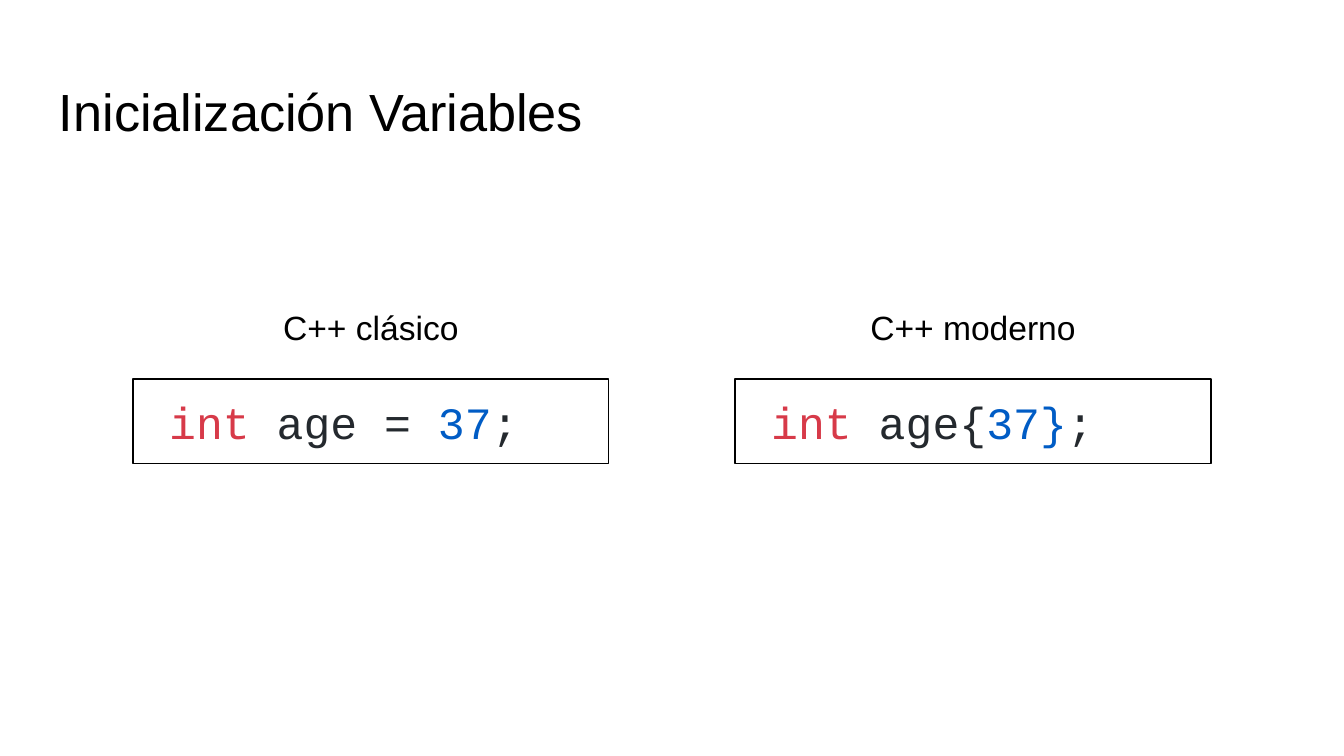
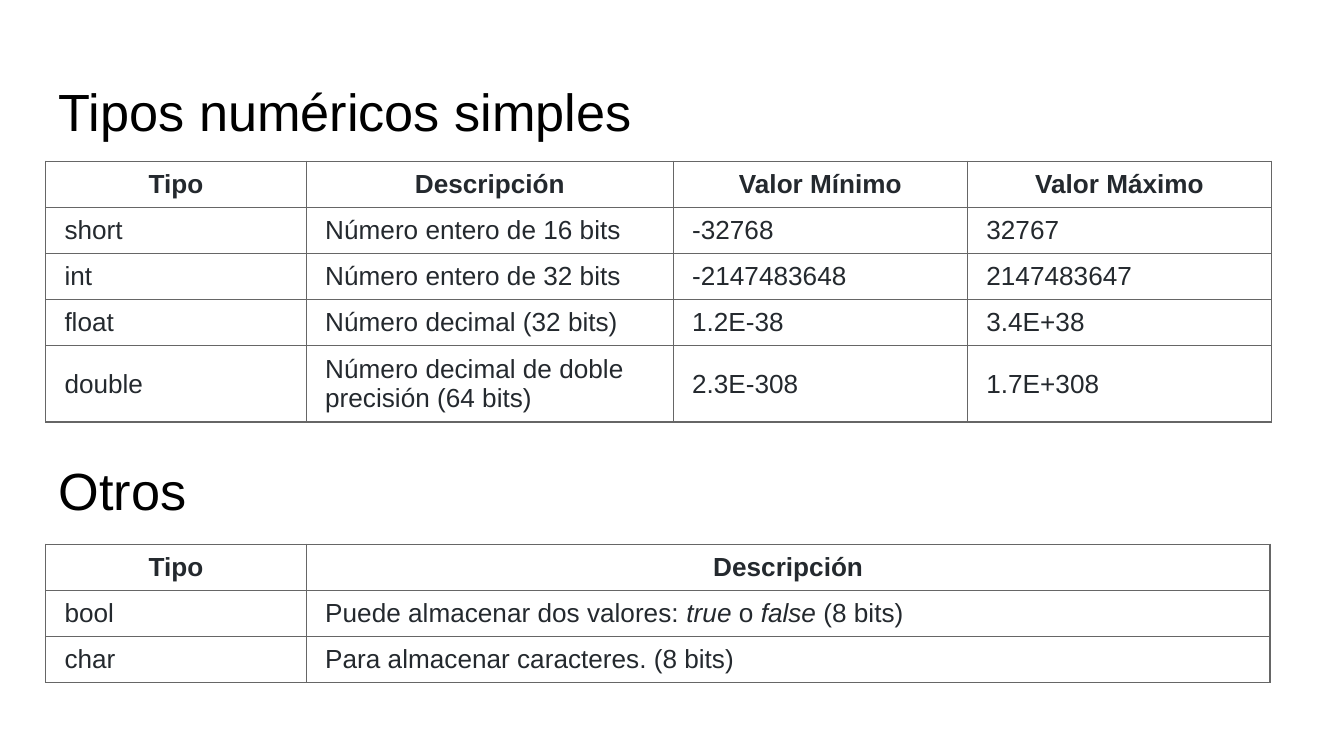
from lxml import etree
from pptx import Presentation
from pptx.dml.color import RGBColor
from pptx.enum.shapes import MSO_SHAPE
from pptx.enum.text import MSO_ANCHOR, PP_ALIGN
from pptx.oxml.ns import qn
from pptx.util import Inches, Pt

RECT = MSO_SHAPE.RECTANGLE
MIDDLE = MSO_ANCHOR.MIDDLE
LEFT, CENTER = PP_ALIGN.LEFT, PP_ALIGN.CENTER

COLORS = {
    "black": "000000",
    "code": "24292E",
    "keyword": "D73A49",
    "number": "005CC5",
    "border": "666666",
}
SANS, MONO = "Arial", "Courier New"
SLIDE_WIDTH = 10
SLIDE_HEIGHT = SLIDE_WIDTH * 9 / 16
MARGIN = 0.34
CODE_WIDTH = 3.54
ROW = 1.03 / 3
TALL_ROW = 0.56


def rgb(name):
    return RGBColor.from_string(COLORS[name])


def style(p, size, color, name=SANS, align=LEFT, bold=False):
    p.alignment = align
    p.font.size = Pt(size)
    p.font.name = name
    p.font.bold = bold
    p.font.color.rgb = rgb(color)


def set_insets(tf, inset=0.1):
    tf.word_wrap = True
    tf.margin_left = tf.margin_right = Inches(inset)
    tf.margin_top = tf.margin_bottom = Inches(inset)


def add_text(s, text, x, y, w, h, size, align=LEFT):
    tf = s.shapes.add_textbox(Inches(x), Inches(y), Inches(w), Inches(h)).text_frame
    set_insets(tf)
    p = tf.paragraphs[0]
    p.text = text
    style(p, size, "black", align=align)


def add_title(s, text, y=0.49):
    add_text(s, text, MARGIN, y, 9.32, 0.63, 28)


def add_code_box(s, tokens, x, y):
    """Outlined box with one line of code, given as (text, colour) pairs."""
    sp = s.shapes.add_shape(RECT, Inches(x), Inches(y), Inches(CODE_WIDTH), Inches(0.63))
    sp.shadow.inherit = False
    sp.fill.background()
    sp.line.color.rgb = rgb("black")
    sp.line.width = Pt(0.75)
    tf = sp.text_frame
    set_insets(tf)
    tf.vertical_anchor = MIDDLE
    p = tf.paragraphs[0]
    p._p.get_or_add_pPr().set("marL", str(Inches(0.17)))
    style(p, 24, "code", MONO)
    for text, color in tokens:
        r = p.add_run()
        r.text = text
        r.font.color.rgb = rgb(color)


def set_borders(cell):
    tcPr = cell._tc.get_or_add_tcPr()
    for side in ("a:lnL", "a:lnR", "a:lnT", "a:lnB"):
        ln = etree.SubElement(tcPr, qn(side), w=str(Pt(0.75)))
        fill = etree.SubElement(ln, qn("a:solidFill"))
        etree.SubElement(fill, qn("a:srgbClr"), val=COLORS["border"])


def fill_cell(cell, content, header):
    """Write a string, or a list of (text, italic) pairs, into a cell."""
    set_borders(cell)
    cell.fill.background()
    cell.vertical_anchor = MIDDLE
    cell.margin_left = cell.margin_right = Inches(0.14)
    cell.margin_top = cell.margin_bottom = Inches(0.05)
    p = cell.text_frame.paragraphs[0]
    style(p, 14, "code", align=CENTER if header else LEFT, bold=header)
    runs = [(content, False)] if isinstance(content, str) else content
    for text, italic in runs:
        r = p.add_run()
        r.text = text
        if italic:
            r.font.italic = True


def add_table(s, rows, y, widths, heights):
    table = s.shapes.add_table(
        len(rows), len(widths), Inches(MARGIN), Inches(y),
        Inches(sum(widths)), Inches(sum(heights))).table
    table.first_row = table.horz_banding = False
    for column, width in zip(table.columns, widths):
        column.width = Inches(width)
    for row, height in zip(table.rows, heights):
        row.height = Inches(height)
    for i, row in enumerate(rows):
        for j, content in enumerate(row):
            fill_cell(table.cell(i, j), content, header=i == 0)


def build_initialization(prs):
    s = prs.slides.add_slide(prs.slide_layouts[6])
    add_title(s, "Inicialización Variables")
    examples = [
        (0.99, "C++ clásico", [("int", "keyword"), (" age = ", "code"),
                               ("37", "number"), (";", "code")]),
        (5.47, "C++ moderno", [("int", "keyword"), (" age{", "code"),
                               ("37}", "number"), (";", "code")]),
    ]
    for x, label, tokens in examples:
        add_code_box(s, tokens, x, 2.82)
        add_text(s, label, x, 2.18, CODE_WIDTH, 0.48, 18, CENTER)


def build_types(prs):
    s = prs.slides.add_slide(prs.slide_layouts[6])

    # Numeric types
    add_title(s, "Tipos numéricos simples")
    numeric = [
        ("Tipo", "Descripción", "Valor Mínimo", "Valor Máximo"),
        ("short", "Número entero de 16 bits", "-32768", "32767"),
        ("int", "Número entero de 32 bits", "-2147483648", "2147483647"),
        ("float", "Número decimal (32 bits)", "1.2E-38", "3.4E+38"),
        ("double", "Número decimal de doble precisión (64 bits)",
         "2.3E-308", "1.7E+308"),
    ]
    add_table(s, numeric, 1.2, [1.94, 2.73, 2.19, 2.26], [ROW] * 4 + [TALL_ROW])

    # Other types
    add_title(s, "Otros", 3.31)
    others = [
        ("Tipo", "Descripción"),
        ("bool", [("Puede almacenar dos valores: ", False), ("true", True),
                  (" o ", False), ("false", True), (" (8 bits)", False)]),
        ("char", "Para almacenar caracteres. (8 bits)"),
    ]
    add_table(s, others, 4.05, [1.94, 7.17], [ROW] * 3)


def main():
    prs = Presentation()
    prs.slide_width = Inches(SLIDE_WIDTH)
    prs.slide_height = Inches(SLIDE_HEIGHT)
    build_initialization(prs)
    build_types(prs)
    prs.save("out.pptx")


if __name__ == "__main__":
    main()
